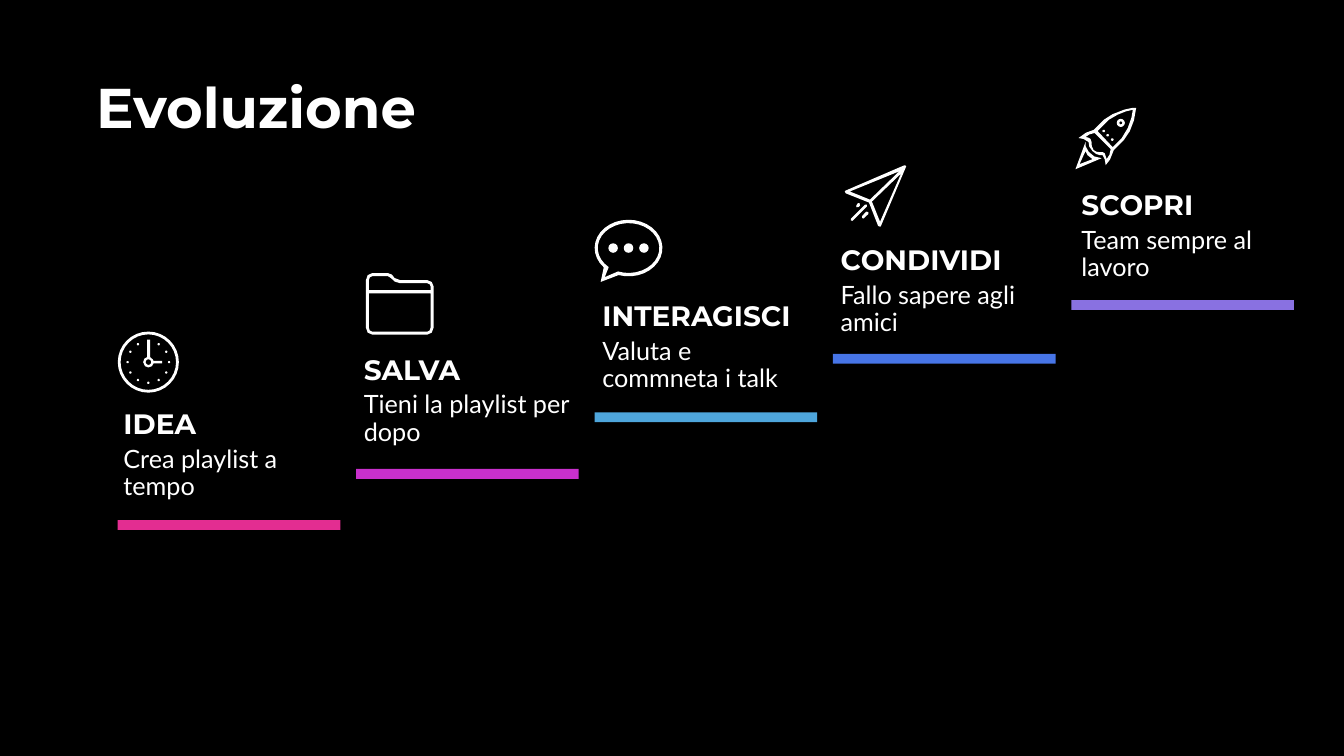
"""Builds the "Evoluzione" slide: five rising steps, each with an icon, a text and a bar."""
from dataclasses import dataclass
from math import cos, radians, sin

from pptx import Presentation
from pptx.dml.color import RGBColor
from pptx.enum import shapes, text
from pptx.util import Pt


@dataclass(frozen=True)
class Theme:
    background: RGBColor = RGBColor.from_string("000000")
    ink: RGBColor = RGBColor.from_string("FFFFFF")
    accents: tuple = ("E32D91", "C830CC", "4EA6DC", "4775E7", "8971E1")
    heading_font: str = "Montserrat"
    body_font: str = "Lato"
    title_size: int = 40
    heading_size: int = 20
    body_size: int = 18


def arc(x, y, width_radius, height_radius, count, start=0, sweep=360):
    """Returns points along an ellipse, clockwise from the start angle."""
    angles = [radians(start + sweep * step / count) for step in range(count + 1)]
    return [(x + width_radius * cos(a), y + height_radius * sin(a)) for a in angles]


def format_text(frame, wording, font, size, bold, spacing=1.0):
    """Fills a frame with one left-aligned paragraph."""
    frame.word_wrap = True
    frame.vertical_anchor = text.MSO_ANCHOR.TOP
    frame.text = wording
    paragraph = frame.paragraphs[0]
    paragraph.alignment = text.PP_ALIGN.LEFT
    paragraph.line_spacing = spacing
    paragraph.font.name = font
    paragraph.font.size = Pt(size)
    paragraph.font.bold = bold
    paragraph.font.color.rgb = theme.ink


theme = Theme()
presentation = Presentation()
presentation.slide_width, presentation.slide_height = Pt(960), Pt(540)
slide = presentation.slides.add_slide(presentation.slide_layouts[5])
slide.background.fill.solid()
slide.background.fill.fore_color.rgb = theme.background

clock_hands = [
    (23, 5.8), (23, 18.2), (25, 19.9), (25.5, 20.9), (31.7, 20.9), (31.7, 22.7),
    (25.5, 22.7), (24.4, 24.7), (21.9, 25.6), (19.4, 24.7), (18.1, 21.8),
    (18.9, 19.4), (20.9, 18.2), (20.9, 5.8)]
clock = [arc(21.8, 21.8, 21.8, 21.8, 32), arc(21.8, 21.8, 19.8, 19.8, 32),
         clock_hands, arc(21.9, 21.8, 2, 2, 12)]
clock += [arc(21.8 + 14.8 * sin(radians(30 * hour)),
              21.8 - 14.8 * cos(radians(30 * hour)), 0.9, 0.9, 6)
          for hour in range(1, 12)]

folder = [
    [(43.9, 5), (24.5, 5), (20.5, 3.5), (18.5, 1), (15.8, 0), (4.5, 0), (1.3, 1.4),
     (0, 5), (0, 39), (1.3, 42.5), (4.5, 43.9), (43.9, 43.9), (47, 42.5),
     (48.3, 39), (48.3, 9.4), (47, 6.3)],
    [(46.2, 39), (45.5, 41), (43.9, 41.8), (4.5, 41.8), (2.8, 41), (2.1, 39),
     (2.1, 14.4), (46.2, 14.4)],
    [(46.2, 12.2), (2.1, 12.2), (2.1, 5), (2.8, 3), (4.5, 2.2), (15.8, 2.2),
     (18, 3.6), (20.5, 6), (24.5, 7.2), (43.9, 7.2), (45.6, 8), (46.2, 9.4)],
]

bubble = [
    arc(24.2, 20.2, 24.2, 20.2, 30, 137, 330) + [(4.3, 44.4)],
    arc(24.2, 20.2, 22, 17.8, 30, 130, 340) + [(7.2, 41)],
]
bubble += [arc(x, 20.2, 3.4, 3.4, 12) for x in (13.2, 24.2, 35.2)]

plane = [
    [(43.9, 0.7), (43.2, 0), (42.5, 0), (0.7, 18), (0, 18.7), (0.7, 20),
     (17.3, 26.6), (23.8, 43.2), (25.2, 43.9), (25.9, 43.2)],
    [(3.6, 18.7), (38.9, 4.3), (18, 24.5)],
    [(25.2, 40.3), (19.4, 25.9), (40.3, 5.8)],
    [(14.4, 28.1), (15.8, 28.1), (15.8, 29.5), (5.6, 39.6), (4.3, 39.4), (4.4, 38.2)],
    [(15.3, 33.1), (16.9, 33.4), (16.8, 34.8), (13.5, 38), (12.4, 37.6), (12.3, 36.3)],
    [(9.4, 27), (10.6, 27), (10.8, 28.8), (9.8, 29.8), (8.2, 29.8), (8.3, 28.6)],
]

rocket = [
    [(43.4, 0), (41, 0), (35, 1.3), (26.5, 4.6), (20.2, 8.6), (13, 15.8),
     (7.5, 17.8), (2.2, 21.6), (5.8, 22.3), (9.4, 24.5), (9.9, 27.8), (12.2, 31),
     (14.8, 33), (17.3, 33.8), (19.4, 33.8), (21, 37), (21.6, 41), (24.7, 37),
     (27.4, 30.2), (34.6, 23), (38.8, 16.8), (41.8, 9)],
    [(25.2, 29.5), (24.3, 33.5), (22.3, 36.7), (20.9, 32.4), (19.4, 31.7),
     (17.3, 31.7), (15, 31.4), (13, 30.2), (11.7, 27.5), (11.5, 24.5),
     (10.8, 22.3), (9.2, 21.3), (7.2, 20.9), (10, 19), (13.7, 18)],
    [(33.1, 21.6), (31, 23.8), (26.6, 28.1), (15.8, 16.6), (20.2, 12.2), (24, 8.5),
     (30, 5), (36, 2.6), (41, 1.4), (40, 7), (37.4, 14.4)],
    [(7.2, 24.5), (0, 43.9), (18.7, 36), (13.5, 34.8), (9.5, 31.5), (7.3, 27.5)],
    [(2.9, 40.3), (7.2, 31), (8.6, 33.8), (12.2, 36.7)],
    arc(32.4, 10.8, 2.9, 2.9, 12), arc(32.4, 10.8, 1.1, 1.1, 8),
]
rocket += [arc(x, y, 1, 1, 6) for x, y in ((20.2, 16.6), (23, 19.6), (26.3, 22.7))]

steps = [
    ("IDEA", "Crea playlist a tempo", 81.1, 286.7, 371.5, clock, 84.2, 236.9),
    ("SALVA", "Tieni la playlist per dopo", 252.8, 248.1, 335, folder, 261.4, 195.1),
    ("INTERAGISCI", "Valuta e commneta i talk", 423.2, 209.8, 294.5, bubble, 424.8, 157),
    ("CONDIVIDI", "Fallo sapere agli amici", 593.4, 169.7, 252.7, plane, 603.4, 118.1),
    ("SCOPRI", "Team sempre al lavoro", 765.4, 130.3, 214.4, rocket, 768.2, 77),
]

title = slide.shapes.title
title.left, title.top, title.width, title.height = Pt(61.5), Pt(44.6), Pt(339), Pt(62.6)
frame = title.text_frame
frame.margin_left = frame.margin_right = frame.margin_top = frame.margin_bottom = Pt(7.2)
frame.auto_size = text.MSO_AUTO_SIZE.NONE
format_text(frame, "Evoluzione", theme.heading_font, theme.title_size, True)

for index, step in enumerate(steps):
    heading, body, text_left, heading_top, bar_top, icon, icon_left, icon_top = step
    bar = slide.shapes.add_shape(
        shapes.MSO_SHAPE.RECTANGLE, Pt(84.1 + 170.3 * index), Pt(bar_top), Pt(159), Pt(7))
    bar.shadow.inherit = False
    bar.fill.solid()
    bar.fill.fore_color.rgb = RGBColor.from_string(theme.accents[index])
    bar.line.fill.background()

    for wording, top, *style in (
        (body, heading_top + 28.5, theme.body_font, theme.body_size, False, 0.9),
        (heading, heading_top, theme.heading_font, theme.heading_size, True),
    ):
        box = slide.shapes.add_textbox(Pt(text_left), Pt(top), Pt(162), Pt(31.7))
        format_text(box.text_frame, wording, *style)

    contours = [[(Pt(icon_left + x), Pt(icon_top + y)) for x, y in contour]
                for contour in icon]
    builder = slide.shapes.build_freeform(*contours[0][0])
    builder.add_line_segments(contours[0][1:], close=True)
    for contour in contours[1:]:
        builder.move_to(*contour[0])
        builder.add_line_segments(contour[1:], close=True)
    drawing = builder.convert_to_shape()
    drawing.shadow.inherit = False
    drawing.fill.solid()
    drawing.fill.fore_color.rgb = theme.ink
    drawing.line.fill.background()

presentation.save("out.pptx")
